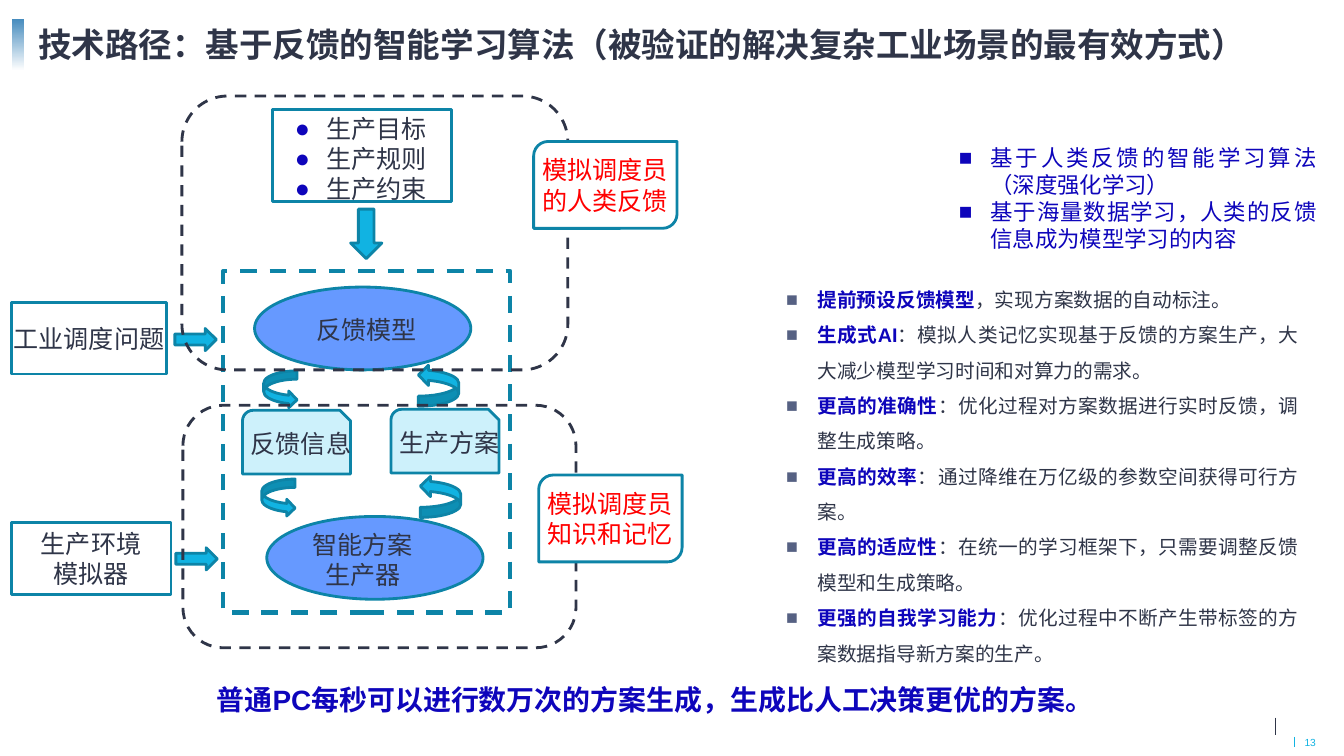
from lxml import etree
from pptx import Presentation
from pptx.dml.color import RGBColor
from pptx.enum import dml, lang, shapes, text
from pptx.oxml import ns
from pptx.util import Pt

NAVY = RGBColor(0x2F, 0x35, 0x48)
BLUE = RGBColor(0x0E, 0x05, 0xBB)
TEAL = RGBColor(0x0D, 0x84, 0xA7)
CYAN = RGBColor(0x11, 0xB3, 0xE2)
PALE = RGBColor(0xCD, 0xF1, 0xFB)
OVAL = RGBColor(0x66, 0x99, 0xFF)
STEEL = RGBColor(0x47, 0x8C, 0xBE)
SLATE = RGBColor(0x56, 0x61, 0x83)
RED = RGBColor(0xFF, 0x00, 0x00)
WHITE = RGBColor(0xFF, 0xFF, 0xFF)
CJK = "Noto Sans CJK SC"
MSO = shapes.MSO_SHAPE
ALIGN = text.PP_ALIGN


def add_bullet(p, char, color):
    pPr = p._p.get_or_add_pPr()
    pPr.set("marL", str(Pt(22.5)))
    pPr.set("indent", str(-Pt(22.5)))
    clr = etree.SubElement(pPr, ns.qn("a:buClr"))
    etree.SubElement(clr, ns.qn("a:srgbClr")).set("val", str(color))
    etree.SubElement(pPr, ns.qn("a:buFont")).set("typeface", "Arial")
    etree.SubElement(pPr, ns.qn("a:buChar")).set("char", char)


def write(tf, paragraphs, size=17.9, align=ALIGN.CENTER, spacing=None,
          bullet=None, font="Arial"):
    """Each paragraph is a list of (text, color, bold) runs."""
    for i, runs in enumerate(paragraphs):
        p = tf.add_paragraph() if i else tf.paragraphs[0]
        if bullet:
            add_bullet(p, *bullet)
        p.alignment = align
        if spacing:
            p.line_spacing = spacing
        for words, color, bold in runs:
            r = p.add_run()
            r.text = words
            look = {"name": font, "size": Pt(size), "bold": bold,
                    "language_id": lang.MSO_LANGUAGE_ID.SIMPLIFIED_CHINESE}
            for key, value in look.items():
                setattr(r.font, key, value)
            r.font.color.rgb = color
            etree.SubElement(r._r.get_or_add_rPr(), ns.qn("a:ea")).set("typeface", CJK)


def set_frame(tf, margins, wrap=True, anchor=text.MSO_ANCHOR.MIDDLE):
    left, top, right, bottom = margins
    frame = {"margin_left": Pt(left), "margin_top": Pt(top),
             "margin_right": Pt(right), "margin_bottom": Pt(bottom),
             "word_wrap": wrap, "vertical_anchor": anchor}
    for key, value in frame.items():
        setattr(tf, key, value)


def add_text(s, box, paragraphs, margins=(7.2, 3.6, 7.2, 3.6), wrap=True,
             anchor=text.MSO_ANCHOR.TOP, **style):
    tf = s.shapes.add_textbox(*map(Pt, box)).text_frame
    set_frame(tf, margins, wrap, anchor)
    write(tf, paragraphs, **style)


def add_shape(s, kind, box, fill=None, line=TEAL, width=2, dash=False):
    sp = s.shapes.add_shape(kind, *map(Pt, box))
    sp.shadow.inherit = False
    if fill is None:
        sp.fill.background()
    else:
        sp.fill.solid()
        sp.fill.fore_color.rgb = fill
    sp.line.color.rgb = line
    sp.line.width = Pt(width)
    if dash:
        sp.line.dash_style = dml.MSO_LINE.DASH
    return sp


def add_rule(s, x, top, bottom, color):
    c = s.shapes.add_connector(shapes.MSO_CONNECTOR.STRAIGHT,
                               Pt(x), Pt(top), Pt(x), Pt(bottom))
    c.line.color.rgb = color
    c.line.width = Pt(0.75)
    etree.SubElement(c._element.spPr, ns.qn("a:effectLst"))


def header(s, x, y, w, h):
    # Accent bar, fading downwards
    bar = add_shape(s, MSO.RECTANGLE, (x, y, 8.64, h))
    bar.line.fill.background()
    bar.fill.gradient()
    bar.fill.gradient_angle = 90
    for stop, color in zip(bar.fill.gradient_stops, (WHITE, STEEL)):
        stop.color.rgb = color
    # Title
    title = "技术路径：基于反馈的智能学习算法（被验证的解决复杂工业场景的最有效方式）"
    add_text(s, (x + 11.9, y + 2, w - 11.9, 33.8), [[(title, NAVY, True)]],
             anchor=text.MSO_ANCHOR.MIDDLE, size=23.9, align=ALIGN.LEFT,
             spacing=0.95, font=CJK)


def diagram(s, x, y):
    def place(kind, left, top, w, h, **style):
        return add_shape(s, kind, (x + left, y + top, w, h), **style)

    def node(kind, box, fill, words, margins=(0, 0, 0, 0), wrap=True,
             color=NAVY, **style):
        tf = place(kind, *box, fill=fill).text_frame
        set_frame(tf, margins, wrap)
        write(tf, [[(line, color, False)] for line in words], **style)

    # Inputs
    node(MSO.RECTANGLE, (186.4, 9.4, 127.4, 65.5), WHITE,
         ["生产目标", "生产规则", "生产约束"], (15.8, 5, 0, 0),
         align=ALIGN.LEFT, bullet=("●", BLUE))
    node(MSO.RECTANGLE, (0, 146.9, 110.9, 51.1), WHITE, ["工业调度问题"], wrap=False)
    node(MSO.RECTANGLE, (0, 303.8, 113.8, 51.1), WHITE, ["生产环境模拟器"],
         (15, 0, 15, 0))
    # Models
    node(MSO.OVAL, (173.4, 136.1, 154.1, 59), OVAL, ["反馈模型"],
         (5.7, 2, 0, 0), wrap=False)
    node(MSO.OVAL, (182.1, 299.5, 154.1, 59), OVAL, ["智能方案生产器"],
         (8.4, 2, 25.7, 0))
    # Messages between the models
    for left, top, words in ((270.6, 223.2, "生产方案"), (164.8, 223.9, "反馈信息")):
        node(MSO.SNIP_ROUND_RECTANGLE, (left, top, 77, 45.4), PALE, [words],
             (8, 0, 0, 0), wrap=False)
    place(MSO.RECTANGLE, 151.1, 124.6, 204.5, 243.4, width=3, dash=True)
    # Loop arrows
    for left, top in ((179.9, 195.8), (178.5, 272.9)):
        arrow = place(MSO.CURVED_LEFT_ARROW, left, top, 23.8, 26.6, fill=CYAN)
        arrow._element.spPr.find(ns.qn("a:xfrm")).set("flipH", "1")
    for left, top in ((291.5, 270.7), (290.1, 191.5)):
        place(MSO.CURVED_RIGHT_ARROW, left, top, 28.8, 29.5, fill=CYAN).rotation = 180
    # Input arrows
    for left, top in ((116.6, 165.6), (117.3, 321.8)):
        place(MSO.RIGHT_ARROW, left, top, 29.5, 15.8, fill=CYAN)
    place(MSO.DOWN_ARROW, 241.8, 80.6, 22.3, 35.3, fill=CYAN)
    # Dashed zones with their tags
    zones = (((121.6, 0, 275, 195.1), (372.2, 32.4), ["模拟调度员的人类反馈"]),
             ((122.3, 220.3, 280.1, 172.8), (375.8, 270), ["模拟调度员", "知识和记忆"]))
    for zone, tag, words in zones:
        place(MSO.ROUNDED_RECTANGLE, *zone, line=NAVY, dash=True)
        node(MSO.ROUND_2_DIAG_RECTANGLE, (*tag, 102.2, 61.9), WHITE, words,
             (3, 0, 0, 0), color=RED, align=ALIGN.LEFT)


def notes(s, x, y, w):
    # Key ideas
    ideas = ["基于人类反馈的智能学习算法（深度强化学习）",
             "基于海量数据学习，人类的反馈信息成为模型学习的内容"]
    add_text(s, (x + 123.1, y, 269.3, 84.2), [[(idea, BLUE, False)] for idea in ideas],
             size=16, align=ALIGN.JUSTIFY, bullet=("■", BLUE), font=CJK)
    # Advantages
    points = (("提前预设反馈模型", "，实现方案数据的自动标注。"),
              ("生成式AI", "：模拟人类记忆实现基于反馈的方案生产，大大减少模型学习时间和对算力的需求。"),
              ("更高的准确性", "：优化过程对方案数据进行实时反馈，调整生成策略。"),
              ("更高的效率", "：通过降维在万亿级的参数空间获得可行方案。"),
              ("更高的适应性", "：在统一的学习框架下，只需要调整反馈模型和生成策略。"),
              ("更强的自我学习能力", "：优化过程中不断产生带标签的方案数据指导新方案的生产。"))
    add_text(s, (x, y + 93.6, w, 285.8),
             [[(lead, BLUE, True), (rest, NAVY, False)] for lead, rest in points],
             size=14, align=ALIGN.JUSTIFY, spacing=1.5, bullet=("■", SLATE))


def footer(s, x, y, w):
    # Conclusion
    claim = "普通PC每秒可以进行数万次的方案生成，生成比人工决策更优的方案。"
    add_text(s, (x, y, w, 31.7), [[(claim, BLUE, True)]], size=19.9)
    # Page number and rules
    add_rule(s, x + 864.6, y + 28.8, y + 41, NAVY)
    add_rule(s, x + 878.3, y + 42.5, y + 49.7, CYAN)
    add_text(s, (x + 885.5, y + 41.8, 9.4, 8.6), [[("13", CYAN, False)]],
             margins=(0, 0, 0, 0), wrap=False, anchor=text.MSO_ANCHOR.MIDDLE,
             size=7.3, align=ALIGN.LEFT)


def main():
    prs = Presentation()
    prs.slide_width, prs.slide_height = Pt(957.6), Pt(538.56)
    s = prs.slides.add_slide(prs.slide_layouts[6])
    header(s, 8.3, 13.7, 936.3, 36.7)
    diagram(s, 8, 68.4)
    notes(s, 553, 99.4, 379.4)
    footer(s, 44, 482.4, 846)
    prs.save("out.pptx")


if __name__ == "__main__":
    main()
